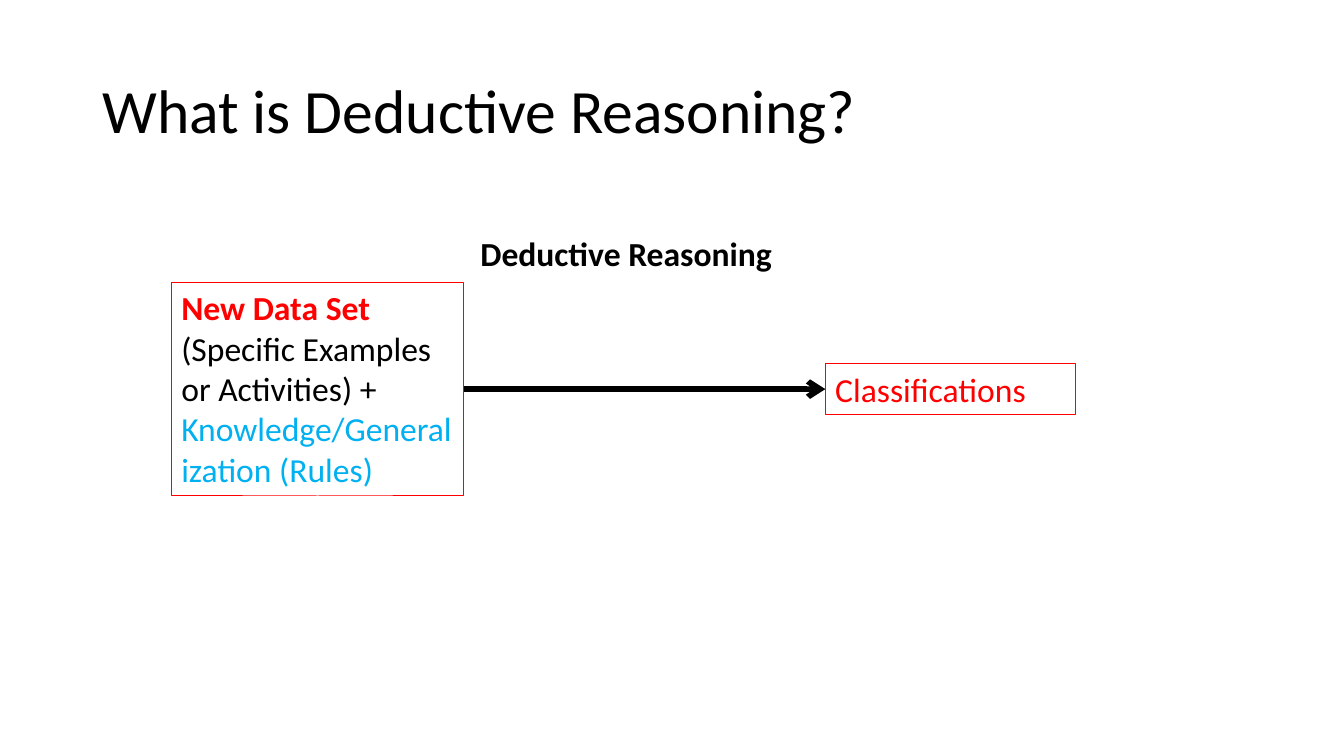
from lxml import etree
from pptx import Presentation, util as u
from pptx.dml.color import RGBColor
from pptx.enum import shapes, text
from pptx.oxml.ns import qn

BLACK, RED, BLUE = "000000", "FF0000", "00B0F0"


def rgb(value):
    return RGBColor.from_string(value)


def write(sp, runs, align=text.PP_ALIGN.LEFT, anchor=text.MSO_ANCHOR.TOP, size=24):
    """Fill a shape with one paragraph of (text, colour, bold) runs."""
    tf = sp.text_frame
    frame = {"word_wrap": True, "vertical_anchor": anchor,
             "margin_left": u.Cm(0.25), "margin_right": u.Cm(0.25),
             "margin_top": u.Cm(0.13), "margin_bottom": u.Cm(0.13)}
    for name, value in frame.items():
        setattr(tf, name, value)
    p = tf.paragraphs[0]
    p.alignment = align
    for words, color, bold in runs:
        r = p.add_run()
        r.text = words
        for name, value in {"name": "Calibri", "size": u.Pt(size), "bold": bold}.items():
            setattr(r.font, name, value)
        r.font.color.rgb = rgb(color)
    return p


def add_title(s, box, words):
    sp = s.shapes.title
    for name, value in zip(("left", "top", "width", "height"), box):
        setattr(sp, name, u.Cm(value))
    p = write(sp, [(words, BLACK, False)], anchor=text.MSO_ANCHOR.MIDDLE, size=44)
    p.line_spacing = 0.9


def add_framed_text(s, box, runs):
    sp = s.shapes.add_shape(shapes.MSO_SHAPE.RECTANGLE, *map(u.Cm, box))
    sp.shadow.inherit = False
    sp.fill.background()
    sp.line.color.rgb = rgb(RED)
    sp.line.width = u.Pt(0.75)
    write(sp, runs)
    return sp


def add_arrow(s, source, target):
    """Join the right side of source to the left side of target."""
    cxn = s.shapes.add_connector(shapes.MSO_CONNECTOR.STRAIGHT, 0, 0, 0, 0)
    cxn.begin_connect(source, 3)
    cxn.end_connect(target, 1)
    cxn.line.color.rgb = rgb(BLACK)
    cxn.line.width = u.Pt(4)
    etree.SubElement(cxn.line._get_or_add_ln(), qn("a:tailEnd"), type="arrow")
    etree.SubElement(cxn._element.spPr, qn("a:effectLst"))


def add_reasoning_diagram(s, box):
    """Input box on the left, result box on the right, labelled arrow between."""
    left, top, width, height = box
    label_h, input_w, result_w = 1.27, 7.37, 6.3
    input_top = top + 1.37
    input_h = height - 1.37
    middle = input_top + input_h / 2

    source = add_framed_text(s, (left, input_top, input_w, input_h), [
        ("New Data Set ", RED, True),
        ("(Specific Examples or Activities) + ", BLACK, False),
        ("Knowledge/Generalization (Rules)", BLUE, False)])
    target = add_framed_text(
        s, (left + width - result_w, middle - label_h / 2, result_w, label_h),
        [("Classifications", RED, False)])
    label = s.shapes.add_textbox(
        *map(u.Cm, (left + input_w, top, 8.18, label_h)))
    write(label, [("Deductive Reasoning", BLACK, True)], text.PP_ALIGN.CENTER)
    add_arrow(s, source, target)


def main():
    prs = Presentation()
    prs.slide_width, prs.slide_height = u.Cm(33.87), u.Cm(19.05)
    s = prs.slides.add_slide(prs.slide_layouts[5])
    add_title(s, (2.33, 1.01, 29.21, 3.68), "What is Deductive Reasoning?")
    add_reasoning_diagram(s, (4.32, 5.74, 22.78, 6.76))
    prs.save("out.pptx")


if __name__ == "__main__":
    main()
